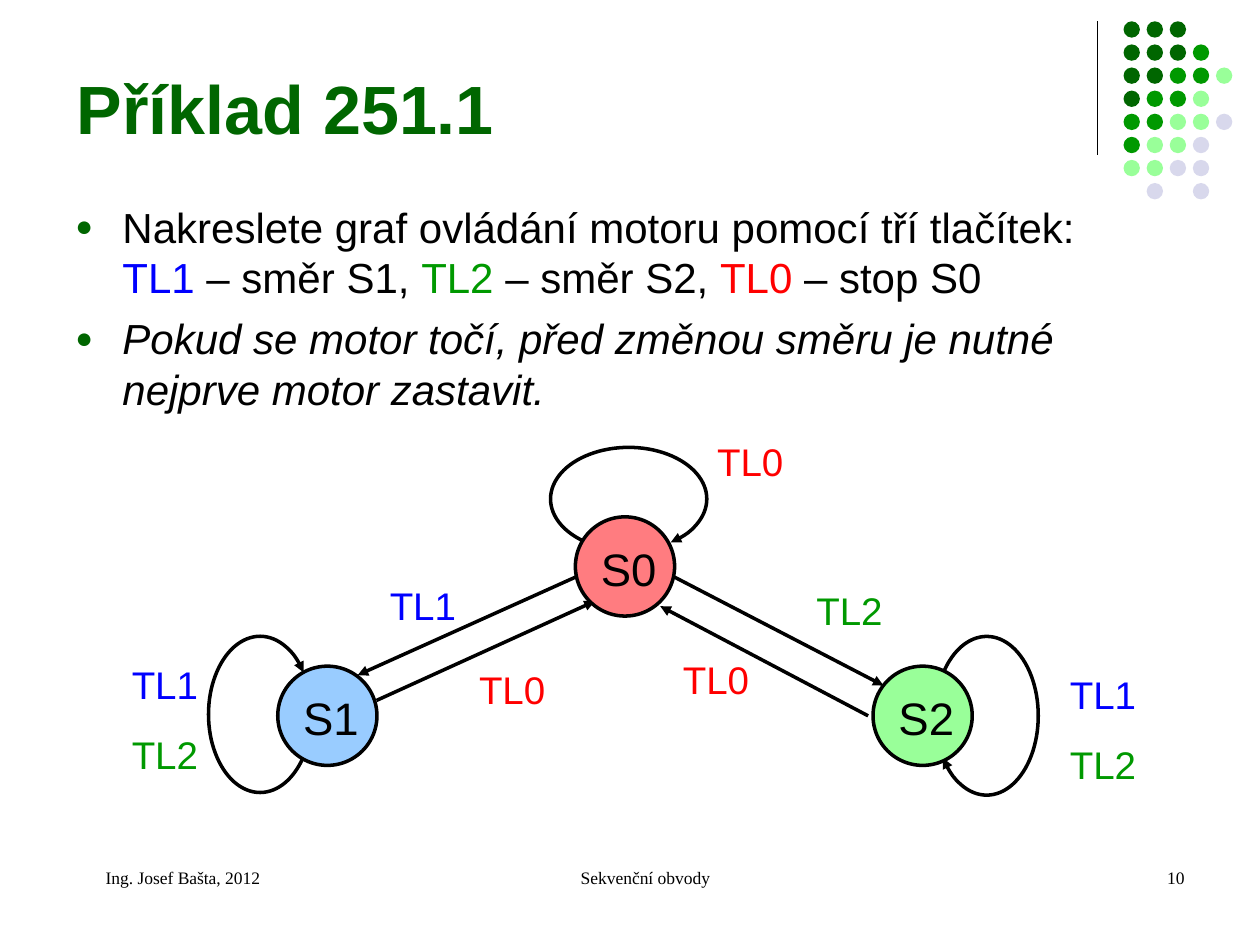
"""Build the slide with the state graph of a motor controlled by three buttons."""
from lxml.etree import SubElement
from pptx import Presentation
from pptx.dml.color import RGBColor
from pptx.enum.shapes import MSO_CONNECTOR, MSO_SHAPE
from pptx.enum.text import MSO_ANCHOR, PP_ALIGN
from pptx.oxml.ns import qn
from pptx.util import Cm, Pt

BLACK = RGBColor(0x00, 0x00, 0x00)
DARK_GREEN = RGBColor(0x00, 0x66, 0x00)
GREEN = RGBColor(0x00, 0x99, 0x00)
LIGHT_GREEN = RGBColor(0x99, 0xFF, 0x99)
LAVENDER = RGBColor(0xD8, 0xD8, 0xEC)
BLUE = RGBColor(0x00, 0x00, 0xFF)
LIGHT_BLUE = RGBColor(0x99, 0xCC, 0xFF)
RED = RGBColor(0xFF, 0x00, 0x00)
LIGHT_RED = RGBColor(0xFF, 0x7C, 0x80)


def add_text(slide, box, paragraphs, *, size, font="Arial", bold=False, italics=(),
             align=PP_ALIGN.LEFT, anchor=MSO_ANCHOR.TOP, inset=(0.25, 0.13),
             indent=0, gap=0, bullet=None):
    """Add a text box; each paragraph is a list of (text, color) runs."""
    frame = slide.shapes.add_textbox(*map(Cm, box)).text_frame
    frame.word_wrap = True
    frame.vertical_anchor = anchor
    frame.margin_left = frame.margin_right = Cm(inset[0])
    frame.margin_top = frame.margin_bottom = Cm(inset[1])
    for index, runs in enumerate(paragraphs):
        paragraph = frame.add_paragraph() if index else frame.paragraphs[0]
        paragraph.alignment = align
        properties = paragraph._p.get_or_add_pPr()
        properties.set("marL", str(Cm(indent)))
        if bullet:
            properties.set("indent", str(-Cm(indent)))
            color = SubElement(properties, qn("a:buClr"))
            SubElement(color, qn("a:srgbClr"), val=str(bullet))
            SubElement(properties, qn("a:buSzPct"), val="70000")
            SubElement(properties, qn("a:buFont"), typeface="Arial")
            SubElement(properties, qn("a:buChar"), char="●")
        if index:
            paragraph.space_before = Pt(gap)
        for text, color in runs:
            if text == "\n":
                paragraph.add_line_break()
                continue
            run = paragraph.add_run()
            run.text = text
            run.font.name = font
            run.font.size = Pt(size)
            run.font.bold = bold
            run.font.italic = index in italics
            run.font.color.rgb = color


def format_line(shape, width, arrow=False):
    """Give a black line without shadow, with an optional arrowhead at its end."""
    shape.line.color.rgb = BLACK
    shape.line.width = Pt(width)
    if arrow:
        SubElement(shape.line._get_or_add_ln(), qn("a:tailEnd"), type="triangle")
    SubElement(shape._element.spPr, qn("a:effectLst"))


presentation = Presentation()
presentation.slide_width = Cm(25.4)
presentation.slide_height = Cm(19.05)
slide = presentation.slides.add_slide(presentation.slide_layouts[6])

divider = slide.shapes.add_connector(
    MSO_CONNECTOR.STRAIGHT, Cm(22.12), Cm(0.43), Cm(22.12), Cm(3.12))
format_line(divider, 0.75)

DOT_COLORS = {"D": DARK_GREEN, "G": GREEN, "L": LIGHT_GREEN, "V": LAVENDER}
DOT_ROWS = ["DDD", "DDDG", "DDGGL", "DGGL", "GGLLV", "GLLV", "LLVV", ".V.V"]
DOT_PITCH = 3.26 / 7
for row, codes in enumerate(DOT_ROWS):
    for column, code in enumerate(codes):
        if code in DOT_COLORS:
            dot = slide.shapes.add_shape(
                MSO_SHAPE.OVAL, Cm(22.65 + DOT_PITCH * column), Cm(0.43 + DOT_PITCH * row),
                Cm(0.33), Cm(0.33))
            dot.shadow.inherit = False
            dot.fill.solid()
            dot.fill.fore_color.rgb = DOT_COLORS[code]
            dot.line.fill.background()

DEGREE = 0.6
for left, top, width, rotation in [
    (18.29, 13.39, 3.2, 90),
    (3.67, 13.36, 3.15, 270),
    (11.1, 9.02, 3.15, 0),
]:
    loop = slide.shapes.add_shape(MSO_SHAPE.ARC, Cm(left), Cm(top), Cm(width), Cm(2.08))
    loop.adjustments[0] = 137 * DEGREE
    loop.adjustments[1] = 46 * DEGREE
    loop.rotation = rotation
    loop.fill.background()
    format_line(loop, 2, arrow=True)

for ends in [
    (13.59, 11.63, 17.81, 13.82),
    (17.5, 14.43, 13.31, 12.22),
    (11.61, 11.63, 7.21, 13.61),
    (7.59, 14.12, 11.99, 12.12),
]:
    transition = slide.shapes.add_connector(MSO_CONNECTOR.STRAIGHT, *map(Cm, ends))
    format_line(transition, 2, arrow=True)

add_text(slide, (1.3, 0.93, 20.96, 2.18), [[("Příklad 251.1", DARK_GREEN)]],
         size=39, bold=True, anchor=MSO_ANCHOR.BOTTOM)

add_text(slide, (1.27, 3.93, 22.86, 4.7), [
    [("Nakreslete graf ovládání motoru pomocí tří tlačítek: ", BLACK), ("\n", BLACK),
     ("TL1", BLUE), (" – směr S1, ", BLACK), ("TL2", GREEN), (" – směr S2, ", BLACK),
     ("TL0", RED), (" – stop S0", BLACK)],
    [("Pokud se motor točí, před změnou směru je nutné nejprve motor zastavit.", BLACK)],
], size=24, italics=(1,), indent=0.95, gap=6, bullet=DARK_GREEN)

for name, left, top, color in [
    ("S1", 5.6, 13.43, LIGHT_BLUE),
    ("S0", 11.6, 10.42, LIGHT_RED),
    ("S2", 17.6, 13.43, LIGHT_GREEN),
]:
    state = slide.shapes.add_shape(MSO_SHAPE.OVAL, Cm(left), Cm(top), Cm(2), Cm(2))
    state.fill.solid()
    state.fill.fore_color.rgb = color
    format_line(state, 2)
    add_text(slide, (left + 0.1, top + 0.39, 1.7, 1.32), [[(name, BLACK)]], size=26,
             align=PP_ALIGN.CENTER, inset=(0, 0.1), indent=0.25)

BUTTON_COLORS = {"TL0": RED, "TL1": BLUE, "TL2": GREEN}
for left, top, buttons in [
    (14, 8.74, ["TL0"]),
    (7.4, 11.63, ["TL1"]),
    (2.2, 13.22, ["TL1", "TL2"]),
    (21.11, 13.43, ["TL1", "TL2"]),
    (16, 11.73, ["TL2"]),
    (13.31, 13.13, ["TL0"]),
    (9.2, 13.33, ["TL0"]),
]:
    add_text(slide, (left, top, 2, 1.17 + 1.4 * (len(buttons) - 1)),
             [[(button, BUTTON_COLORS[button])] for button in buttons], size=22,
             align=PP_ALIGN.CENTER, inset=(0, 0.1), indent=0.25, gap=13.8)

for text, left, width, align in [
    ("Sekvenční obvody", 8.68, 8.05, PP_ALIGN.CENTER),
    ("10", 18.21, 5.92, PP_ALIGN.RIGHT),
    ("Ing. Josef Bašta, 2012", 1.27, 5.92, PP_ALIGN.LEFT),
]:
    add_text(slide, (left, 17.35, width, 1.27), [[(text, BLACK)]], size=10,
             font="Times New Roman", align=align, indent=0.61)

presentation.save("out.pptx")
